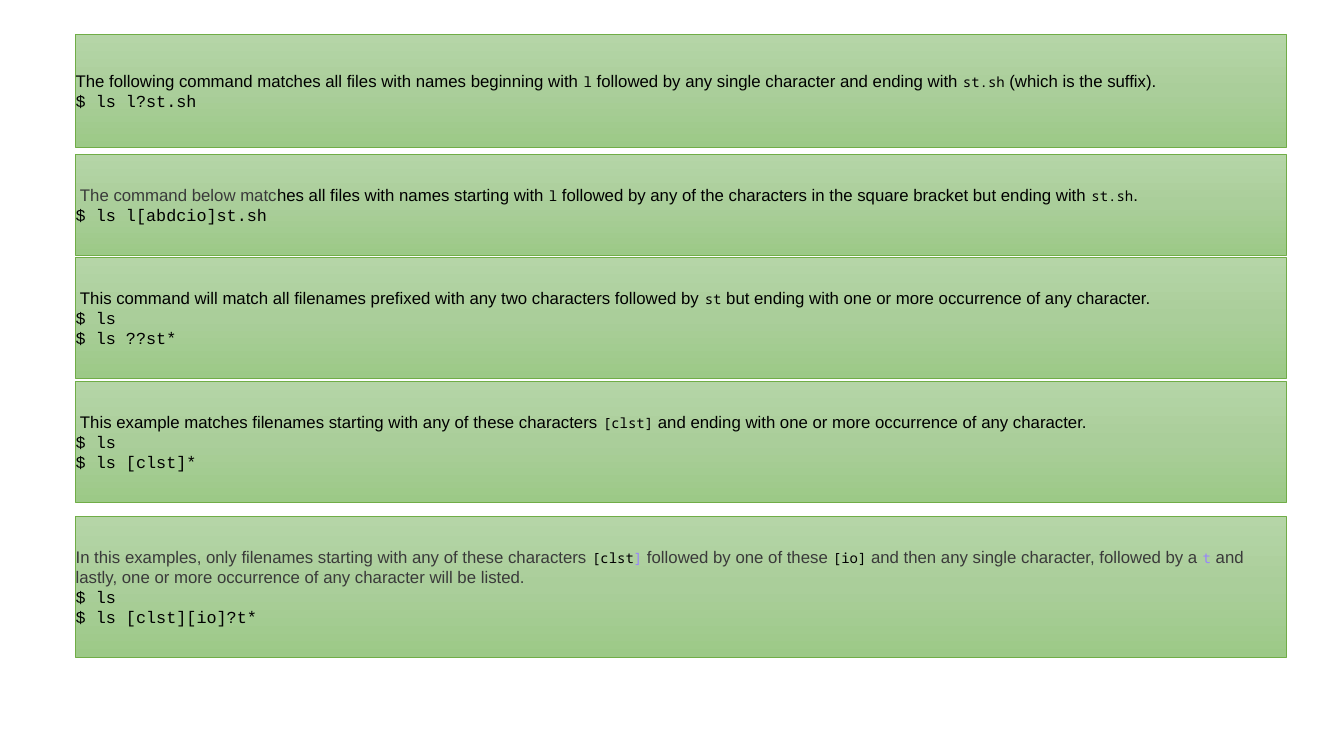
from copy import deepcopy
from pptx import Presentation
from pptx import util as u
from pptx.dml.color import RGBColor
from pptx.enum import shapes, text
from pptx.oxml.ns import qn

HUES = {"black": "000000", "grey": "3A3A3A", "violet": "9884FC",
        "edge": "70AD47", "top": "B5D5A7", "mid": "AACE9A", "low": "9CC987"}

# Run styles: font, size, colour
STYLES = {
    "text": ("Arial", 12, "black"),
    "grey": ("Arial", 12, "grey"),
    "code": ("Noto Sans Mono", 10, "black"),
    "pale": ("Noto Sans Mono", 10, "violet"),
    "shell": ("Courier New", 12, "black"),
}

# Panels: top, number of text lines, sentence runs, commands
PANELS = [
    (0.4, 2, [
        ("text", "The following command matches all files with names beginning with "),
        ("code", "l"),
        ("text", " followed by any single character and ending with "),
        ("code", "st.sh"),
        ("text", " (which is the suffix).")],
     ["$ ls l?st.sh"]),
    (1.53, 2, [
        ("grey", " The command below matc"),
        ("text", "hes all files with names starting with "),
        ("code", "l"),
        ("text", " followed by any of the characters in the square bracket but ending with "),
        ("code", "st.sh"),
        ("text", ".")],
     ["$ ls l[abdcio]st.sh"]),
    (2.55, 3, [
        ("text", " This command will match all filenames prefixed with any two characters followed by "),
        ("code", "st"),
        ("text", " but ending with one or more occurrence of any character.")],
     ["$ ls", "$ ls ??st*"]),
    (3.78, 3, [
        ("text", " This example matches filenames starting with any of these characters "),
        ("code", "[clst]"),
        ("text", " and ending with one or more occurrence of any character.")],
     ["$ ls", "$ ls [clst]*"]),
    (5.12, 4, [
        ("grey", "In this examples, only filenames starting with any of these characters "),
        ("code", "[clst"),
        ("pale", "]"),
        ("grey", " followed by one of these "),
        ("code", "[io]"),
        ("grey", " and then any single character, followed by a "),
        ("pale", "t"),
        ("grey", " and lastly, one or more occurrence of any character will be listed.")],
     ["$ ls", "$ ls [clst][io]?t*"]),
]
LEFT, WIDTH, PAD, LINE = 0.75, 12.01, 0.29, 0.2


def hue(name):
    return RGBColor.from_string(HUES[name])


def paint(box):
    """Give a panel its three-stop green gradient and thin edge."""
    box.fill.gradient()
    box.fill.gradient_angle = 270
    first = box.fill.gradient_stops[0]
    first.color.rgb = hue("top")
    stops = box._element.spPr.find(qn("a:gradFill")).find(qn("a:gsLst"))
    stops.insert(1, deepcopy(stops[0]))
    for stop, name, place in zip(box.fill.gradient_stops, ("top", "mid", "low"), (0, 0.5, 1)):
        stop.color.rgb = hue(name)
        stop.position = place
    box.line.color.rgb = hue("edge")
    box.line.width = u.Pt(0.5)


# Slide with its body placeholder as the first panel
deck = Presentation()
deck.slide_width, deck.slide_height = u.Inches(13.33), u.Inches(7.5)
slide = deck.slides.add_slide(deck.slide_layouts[1])
title = slide.shapes.title._element
title.getparent().remove(title)
body = slide.placeholders[1]

for rank, (top, lines, sentence, shell) in enumerate(PANELS):
    # Panel
    area = [u.Inches(n) for n in (LEFT, top, WIDTH, 0.6 + LINE * lines)]
    if rank == 0:
        box = body
        box.left, box.top, box.width, box.height = area
    else:
        box = slide.shapes.add_shape(shapes.MSO_SHAPE.RECTANGLE, *area)
        box.shadow.inherit = False
    paint(box)

    # Text frame
    frame = box.text_frame
    frame.word_wrap = True
    frame.auto_size = text.MSO_AUTO_SIZE.SHAPE_TO_FIT_TEXT
    frame.vertical_anchor = text.MSO_ANCHOR.MIDDLE
    frame.margin_left = frame.margin_right = 0
    frame.margin_top = frame.margin_bottom = u.Inches(PAD)

    # Sentence, then one paragraph per command
    rows = [sentence] + [[("shell", line)] for line in shell]
    for spot, row in enumerate(rows):
        para = frame.paragraphs[0] if spot == 0 else frame.add_paragraph()
        para.alignment = text.PP_ALIGN.LEFT
        para.space_before = u.Pt(0)
        if rank == 0:
            props = para._p.get_or_add_pPr()
            props.set("marL", "0")
            props.set("indent", "0")
            props.append(props.makeelement(qn("a:buNone"), {}))
        for style, words in row:
            run = para.add_run()
            run.text = words
            face, size, tint = STYLES[style]
            run.font.name = face
            run.font.size = u.Pt(size)
            run.font.color.rgb = hue(tint)

deck.save("out.pptx")
